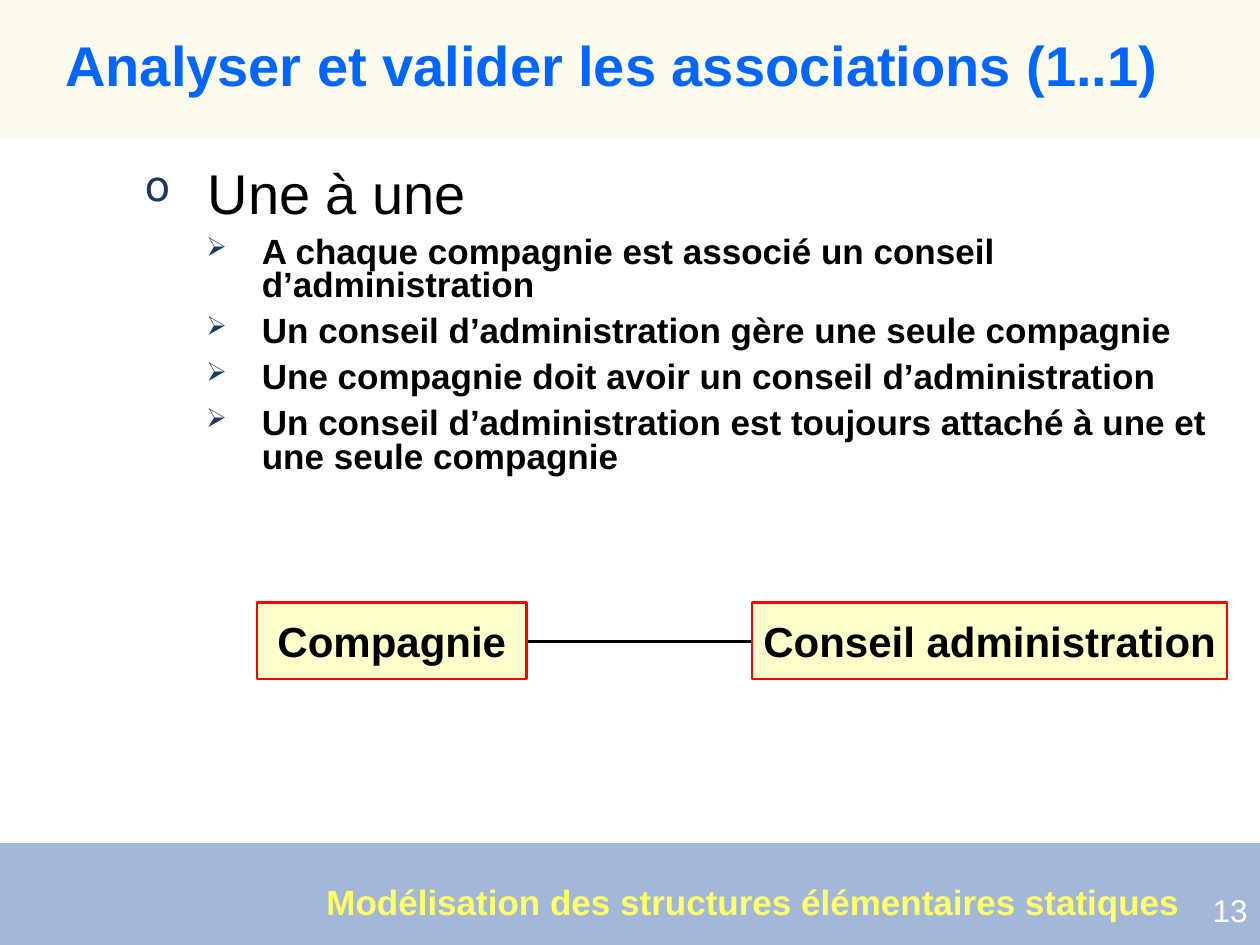
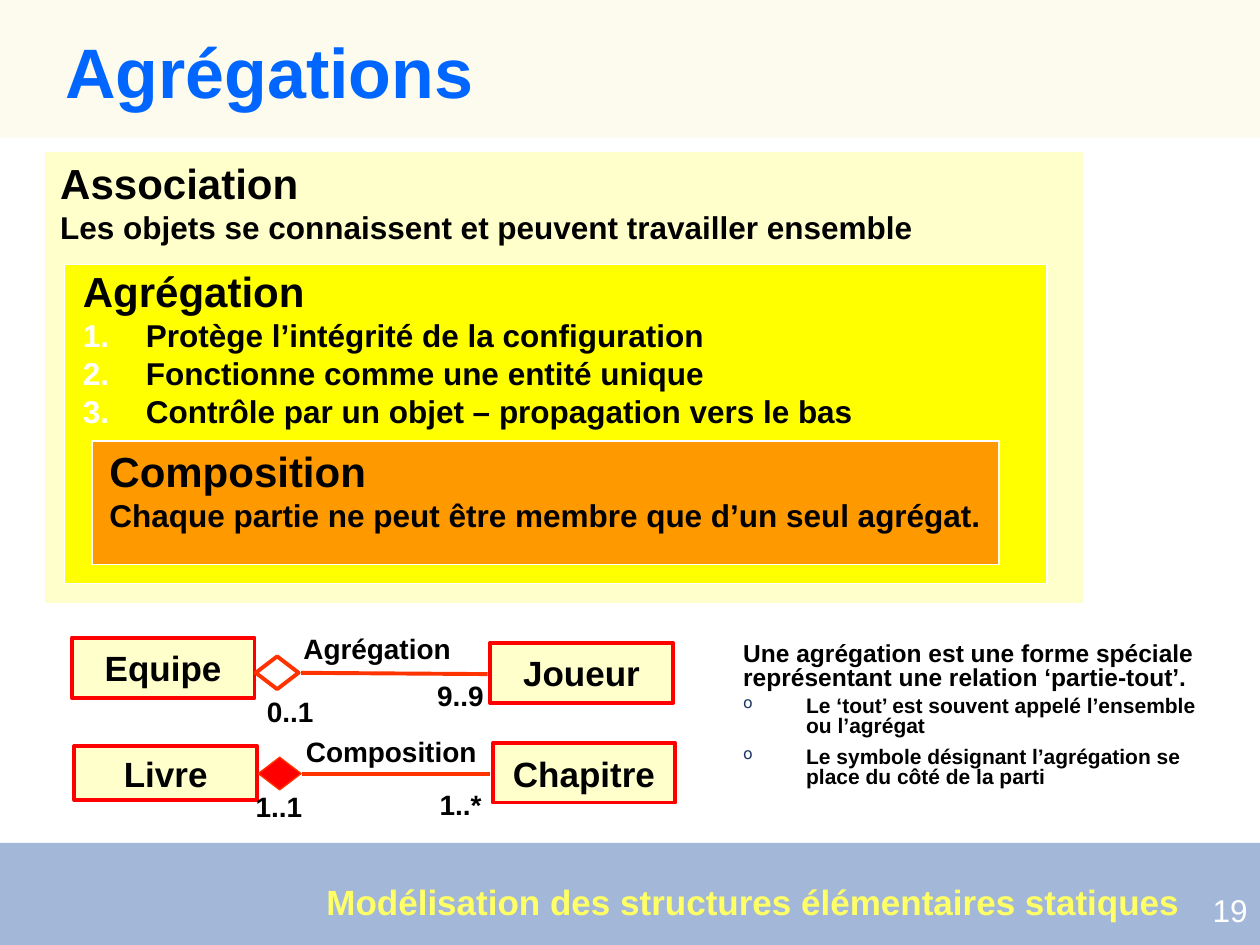
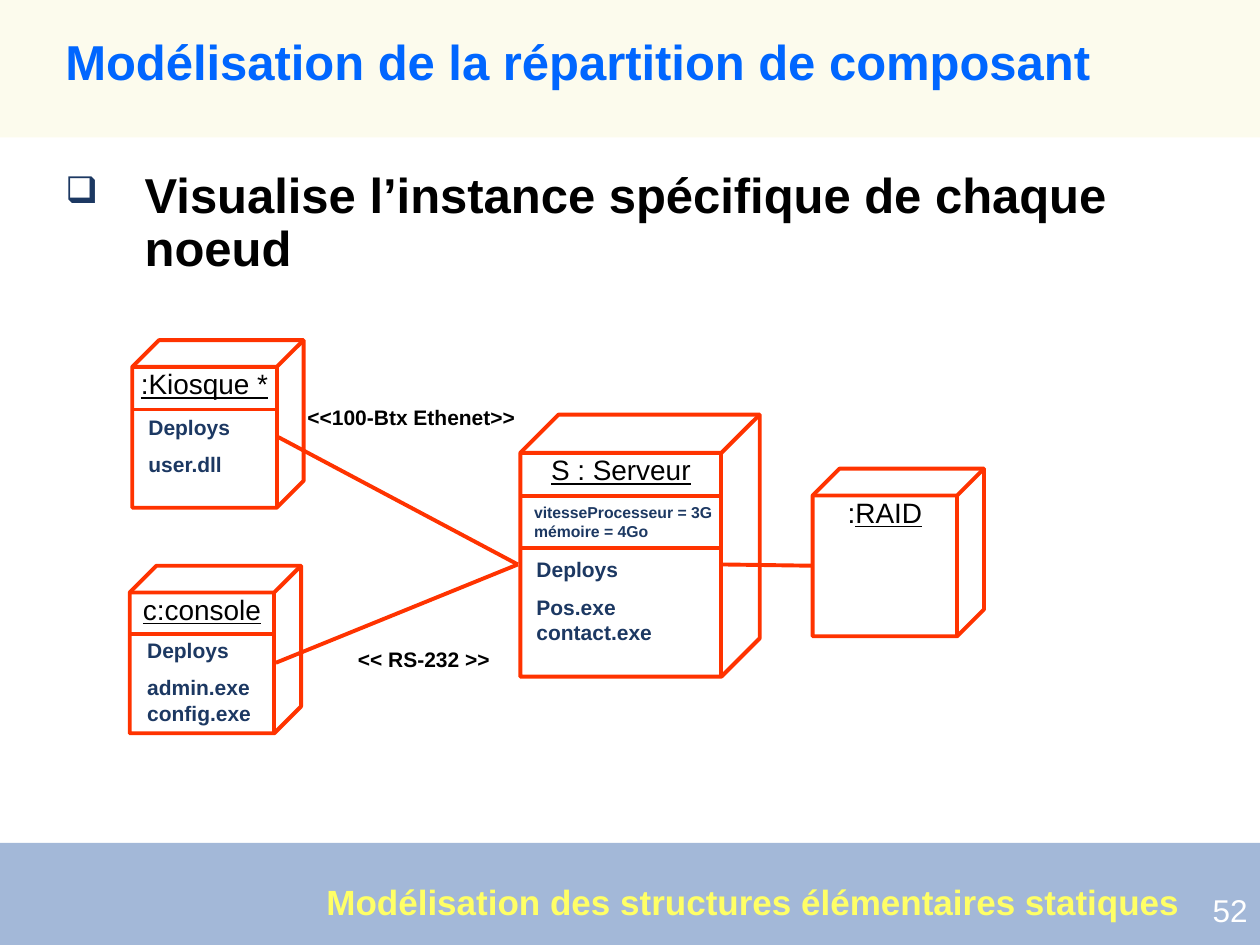
"""Build three UML course slides: associations, aggregations and deployment."""
from pptx import Presentation
from pptx.dml.color import RGBColor
from pptx.enum.shapes import MSO_CONNECTOR, MSO_SHAPE
from pptx.enum.text import MSO_ANCHOR, PP_ALIGN
from pptx.oxml.xmlchemy import OxmlElement
from pptx.util import Inches, Pt

RECT, DIAMOND, CUBE = MSO_SHAPE.RECTANGLE, MSO_SHAPE.DIAMOND, MSO_SHAPE.CUBE
STRAIGHT = MSO_CONNECTOR.STRAIGHT
TOP, MIDDLE = MSO_ANCHOR.TOP, MSO_ANCHOR.MIDDLE
CENTER, RIGHT = PP_ALIGN.CENTER, PP_ALIGN.RIGHT

FONT = "Arial"
COLORS = {
    "text": "000000", "title": "0066FF", "navy": "1C3862", "white": "FFFFFF",
    "header": "FAF8D8", "footer": "3363A9", "footer_text": "FFFF66",
    "cream": "FFFFCC", "yellow": "FFFF00", "orange": "FF9900",
    "red": "FF0000", "link": "FF3300",
}
FOOTER = "Modélisation des structures élémentaires statiques"
CUBE_DEPTH = 0.16

HEAD = {"size": 24, "bold": True}
PLAIN = {"size": 18, "bold": True}
NUMBERED = {**PLAIN, "indent": (0.5, -0.5), "bullet": "1.", "bullet_color": "white"}
POINT = {"size": 20, "bold": True, "level": 2, "indent": (1.56, -0.44),
         "line": 0.8, "before": 7, "bullet": "➢"}
NOTE = {"size": 12, "bold": True, "level": 1, "indent": (1.13, -0.5),
        "line": 0.8, "bullet": "o"}
LABEL = {"size": 16, "bold": True}
DEPLOY = {"size": 12, "bold": True, "color": "navy"}
SPEC = {**DEPLOY, "size": 9}

ONE_TO_ONE = [
    ("Une à une", {"size": 32, "level": 1, "indent": (1.13, -0.5), "line": 0.8, "bullet": "o"}),
    ("A chaque compagnie est associé un conseil d’administration", POINT),
    ("Un conseil d’administration gère une seule compagnie", POINT),
    ("Une compagnie doit avoir un conseil d’administration", POINT),
    ("Un conseil d’administration est toujours attaché à une et une seule compagnie", POINT),
]
COMPANY_CLASSES = [
    ("Compagnie", (2.04, 4.78, 2.14, 0.61)),
    ("Conseil administration", (5.97, 4.78, 3.77, 0.61)),
]

NESTED_PANELS = [
    ("cream", (0.35, 1.2, 8.25, 3.59), (0.38, 1.2, 7.67, 0.8), [
        ("Association", HEAD),
        ("Les objets se connaissent et peuvent travailler ensemble", PLAIN)]),
    ("yellow", (0.51, 2.1, 7.8, 2.53), (0.56, 2.06, 7.67, 1.4), [
        ("Agrégation", {**HEAD, "indent": (0.5, -0.5)}),
        ("Protège l’intégrité de la configuration", NUMBERED),
        ("Fonctionne comme une entité unique", NUMBERED),
        ("Contrôle par un objet – propagation vers le bas", NUMBERED)]),
    ("orange", (0.73, 3.5, 7.2, 0.98), (0.77, 3.49, 7.21, 0.8), [
        ("Composition", HEAD),
        ("Chaque partie ne peut être membre que d’un seul agrégat.", PLAIN)]),
]
RELATIONS = [
    {"classes": [("Equipe", (0.57, 5.06, 1.45, 0.48)), ("Joueur", (3.89, 5.1, 1.45, 0.48))],
     "diamond": (2.03, 5.21, 0.34, 0.26), "fill": None, "width": 2.25,
     "link": (2.39, 5.34, 3.87, 5.35),
     "labels": [("Agrégation", 2.31, 4.96, 1.77), ("0..1", 2.02, 5.46, 0.61),
                ("9..9", 3.37, 5.34, 0.61)]},
    {"classes": [("Livre", (0.59, 5.92, 1.45, 0.43)), ("Chapitre", (3.91, 5.9, 1.45, 0.47))],
     "diamond": (2.05, 6.01, 0.34, 0.26), "fill": "red", "width": 0.75,
     "link": (2.4, 6.14, 3.89, 6.14),
     "labels": [("Composition", 2.33, 5.78, 1.77), ("1..1", 1.93, 6.22, 0.61),
                ("1..*", 3.39, 6.2, 0.61)]},
]
AGGREGATION_NOTES = [
    ("Une agrégation est une forme spéciale représentant une relation ‘partie-tout’.",
     {"size": 14, "bold": True, "indent": (0.63, 0), "line": 0.8}),
    ("Le ‘tout’ est souvent appelé l’ensemble ou l’agrégat", {**NOTE, "before": 4}),
    ("Le symbole désignant l’agrégation se place du côté de la parti", {**NOTE, "before": 6}),
]

DEPLOYMENT = [("Visualise l’instance spécifique de chaque noeud",
               {"size": 28, "bold": True, "indent": (0.63, -0.63), "line": 0.9, "bullet": "❑"})]
NODES = [
    {"name": [(":Kiosque *", True)], "at": (1.05, 2.7, 1.36, 1.33), "dividers": [3.25],
     "texts": [(1.08, 3.24, 0.6, DEPLOY, ["Deploys", "user.dll"])]},
    {"name": [("c:console", True)], "at": (1.03, 4.49, 1.36, 1.33), "dividers": [5.03],
     "texts": [(1.07, 5.01, 0.8, DEPLOY, ["Deploys", "admin.exe\nconfig.exe"])]},
    {"name": [("S : Serveur", True)], "at": (4.13, 3.29, 1.9, 2.08), "dividers": [3.94, 4.35],
     "texts": [(4.14, 3.94, 0.4, SPEC, ["vitesseProcesseur = 3G\nmémoire = 4Go"]),
               (4.16, 4.37, 0.8, DEPLOY, ["Deploys", "Pos.exe\ncontact.exe"])]},
    {"name": [(":", False), ("RAID", True)], "at": (6.45, 3.72, 1.36, 1.33),
     "dividers": [], "texts": []},
]
NODE_LINKS = [(2.21, 3.47, 4.11, 4.48), (2.19, 5.26, 4.11, 4.48), (5.74, 4.48, 6.44, 4.49)]
PROTOCOLS = [("<<100-Btx Ethenet>>", (2.44, 3.21, 1.65, 0.2)),
             ("<< RS-232 >>", (2.84, 5.13, 1.05, 0.2))]


def rgb(name):
    return RGBColor.from_string(COLORS[name])


def add_xml(parent, tag, **attrs):
    element = OxmlElement(tag)
    for key, value in attrs.items():
        element.set(key, str(value))
    parent.append(element)
    return element


def add_bullet(p, char, color):
    pPr = p._p.get_or_add_pPr()
    add_xml(add_xml(pPr, "a:buClr"), "a:srgbClr", val=COLORS[color])
    if char == "1.":
        add_xml(pPr, "a:buAutoNum", type="arabicPeriod")
    else:
        add_xml(pPr, "a:buSzPct", val=75000)
        add_xml(pPr, "a:buChar", char=char)


def add_run(p, text, size, bold=False, underline=False, color="text"):
    for i, part in enumerate(text.split("\n")):
        if i:
            p.add_line_break()
        r = p.add_run()
        r.text = part
        r.font.name, r.font.size, r.font.bold = FONT, Pt(size), bold
        r.font.underline = underline
        r.font.color.rgb = rgb(color)


def fill_text(tf, paragraphs, anchor=TOP, wrap=True, inset=True):
    """Write (text or runs, style) pairs into a text frame."""
    tf.word_wrap, tf.vertical_anchor = wrap, anchor
    if not inset:
        tf.margin_left = tf.margin_top = tf.margin_right = tf.margin_bottom = 0
    for i, (content, style) in enumerate(paragraphs):
        p = tf.paragraphs[0] if i == 0 else tf.add_paragraph()
        p.level = style.get("level", 0)
        p.alignment = style.get("align")
        p.line_spacing = style.get("line")
        p.space_before = Pt(style.get("before", 0) if i else 0)
        if "indent" in style:
            margin, first = style["indent"]
            pPr = p._p.get_or_add_pPr()
            pPr.set("marL", str(Inches(margin)))
            pPr.set("indent", str(Inches(first)))
        if "bullet" in style:
            add_bullet(p, style["bullet"], style.get("bullet_color", "navy"))
        runs = [(content, False)] if isinstance(content, str) else content
        for text, underline in runs:
            add_run(p, text, style["size"], style.get("bold", False), underline,
                    style.get("color", "text"))


def add_text(s, at, paragraphs, **options):
    box = s.shapes.add_textbox(*map(Inches, at))
    fill_text(box.text_frame, paragraphs, **options)


def add_box(s, kind, at, fill=None, line=None, width=0.75, alpha=None):
    sp = s.shapes.add_shape(kind, *map(Inches, at))
    sp.shadow.inherit = False
    if fill:
        sp.fill.solid()
        sp.fill.fore_color.rgb = rgb(fill)
        if alpha:
            color = sp._element.spPr.find(".//{*}solidFill/{*}srgbClr")
            add_xml(color, "a:alpha", val=alpha * 1000)
    else:
        sp.fill.background()
    if line:
        sp.line.color.rgb, sp.line.width = rgb(line), Pt(width)
    else:
        sp.line.fill.background()
    return sp


def add_line(s, ends, color="link", width=2.25):
    line = s.shapes.add_connector(STRAIGHT, *map(Inches, ends))
    line.line.color.rgb, line.line.width = rgb(color), Pt(width)
    add_xml(line._element.spPr, "a:effectLst")


def add_class(s, name, at, size, width):
    sp = add_box(s, RECT, at, "cream", "red", width)
    style = {"size": size, "bold": True, "align": CENTER}
    fill_text(sp.text_frame, [(name, style)], anchor=MIDDLE, wrap=False)


def add_node(s, name, at, dividers, texts):
    left, _, width, height = at
    sp = add_box(s, CUBE, at, None, "link", 2.25)
    sp.adjustments[0] = CUBE_DEPTH
    fill_text(sp.text_frame, [(name, {"size": 16, "align": CENTER})], wrap=False, inset=False)
    face_right = left + width - CUBE_DEPTH * min(width, height)
    for y in dividers:
        add_line(s, (left, y, face_right, y))
    for x, y, h, style, lines in texts:
        add_text(s, (x, y, width - 0.23, h), [(t, {**style, "before": 7}) for t in lines])


def add_slide(prs, title, size, number):
    s = prs.slides.add_slide(prs.slide_layouts[6])
    add_box(s, RECT, (0, 0, 10, 1.09), "header", alpha=45)
    add_box(s, RECT, (0, 6.69, 10, 0.81), "footer", alpha=45)
    add_text(s, (9.02, 7.02, 0.98, 0.4),
             [(number, {"size": 18, "color": "white", "align": RIGHT})])
    add_text(s, (0.42, 0.25, 9.37, 0.7),
             [(title, {"size": size, "bold": True, "color": "title", "line": 0.9})])
    add_text(s, (2.59, 6.99, 6.78, 0.33),
             [(FOOTER, {"size": 20, "bold": True, "color": "footer_text"})],
             wrap=False, inset=False)
    return s


def build_associations(prs):
    s = add_slide(prs, "Analyser et valider les associations (1..1)", 32, "13")
    add_text(s, (0.42, 1.31, 9.38, 3.37), ONE_TO_ONE)
    for name, at in COMPANY_CLASSES:
        add_class(s, name, at, 24, 1.5)
    add_line(s, (4.19, 5.09, 5.96, 5.09), "text", 1.5)


def build_aggregations(prs):
    s = add_slide(prs, "Agrégations", 40, "19")
    for fill, at, text_at, paragraphs in NESTED_PANELS:
        add_box(s, RECT, at, fill, "white")
        add_text(s, text_at, paragraphs)
    for relation in RELATIONS:
        for name, at in relation["classes"]:
            add_class(s, name, at, 20, 2.25)
        add_box(s, DIAMOND, relation["diamond"], relation["fill"], "link", relation["width"])
        add_line(s, relation["link"])
        for text, x, y, width in relation["labels"]:
            add_text(s, (x, y, width, 0.37), [(text, LABEL)])
    add_text(s, (5.17, 5.06, 4.48, 1.77), AGGREGATION_NOTES)


def build_deployment(prs):
    s = add_slide(prs, "Modélisation de la répartition de composant", 28, "52")
    add_text(s, (0.42, 1.31, 9.38, 0.94), DEPLOYMENT)
    for node in NODES:
        add_node(s, **node)
    for ends in NODE_LINKS:
        add_line(s, ends)
    for text, at in PROTOCOLS:
        add_text(s, at, [(text, {"size": 12, "bold": True})], wrap=False, inset=False)


def main():
    prs = Presentation()
    prs.slide_width, prs.slide_height = Inches(10), Inches(7.5)
    build_associations(prs)
    build_aggregations(prs)
    build_deployment(prs)
    prs.save("out.pptx")


if __name__ == "__main__":
    main()
